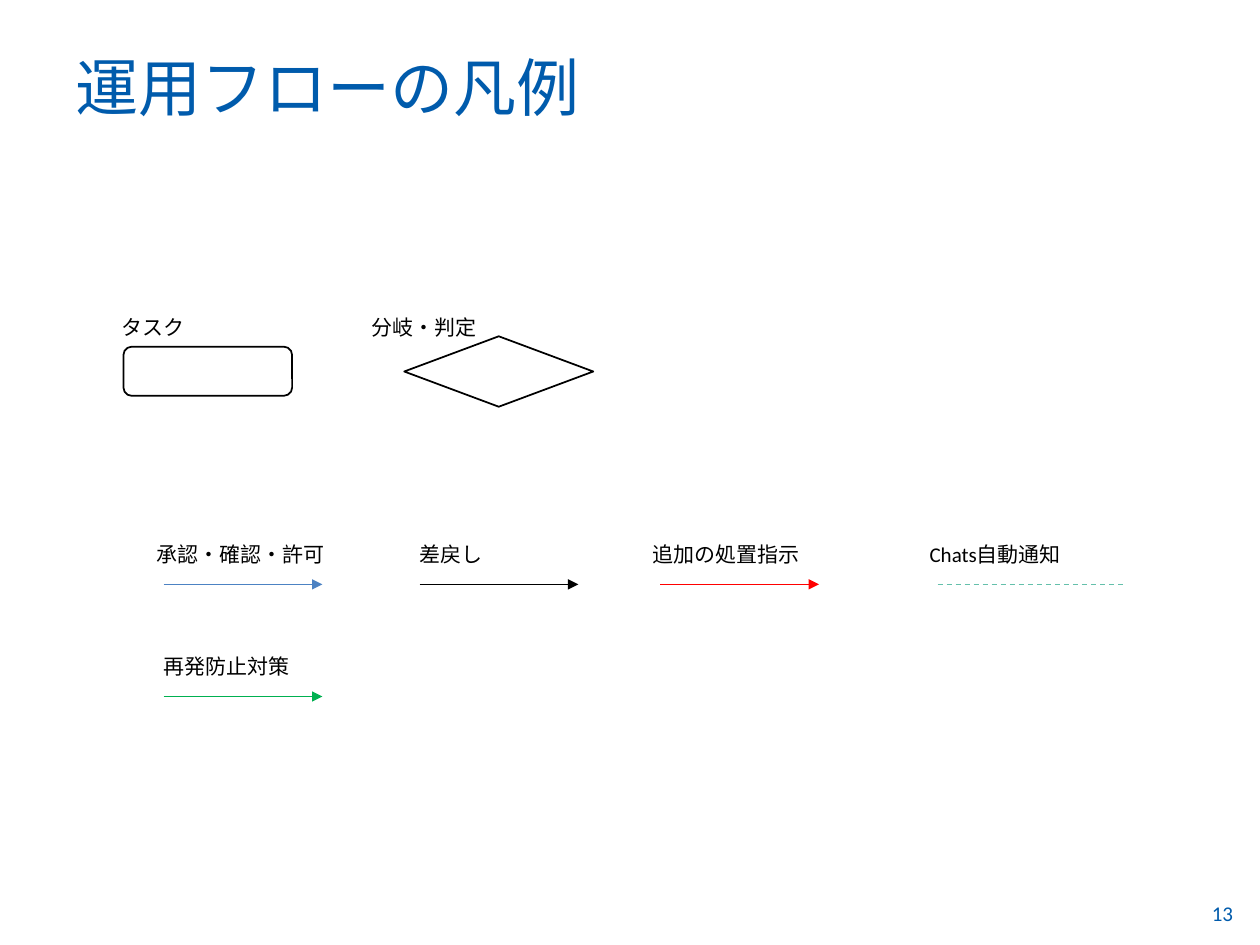
import pptx
import pptx.dml.color
import pptx.enum.dml
import pptx.enum.shapes
import pptx.enum.text
import pptx.oxml
import pptx.oxml.ns
import pptx.util

Cm = pptx.util.Cm
Pt = pptx.util.Pt
RGB = pptx.dml.color.RGBColor
SHAPE = pptx.enum.shapes.MSO_SHAPE
ANCHOR = pptx.enum.text.MSO_ANCHOR

BLACK = RGB(0x00, 0x00, 0x00)
WHITE = RGB(0xFF, 0xFF, 0xFF)
NAVY = RGB(0x00, 0x5B, 0xAC)
BLUE = RGB(0x4C, 0x82, 0xC3)
RED = RGB(0xFF, 0x00, 0x00)
TEAL = RGB(0x64, 0xC0, 0xAB)
GREEN = RGB(0x00, 0xB0, 0x50)


class Legend:
    font = "Calibri"

    def __init__(self, slide):
        self.slide = slide

    def text(self, words, left, top, width, height=0.76, size=12,
             color=BLACK, anchor=ANCHOR.TOP):
        box = self.slide.shapes.add_textbox(
            Cm(left), Cm(top), Cm(width), Cm(height))
        frame = box.text_frame
        frame.word_wrap = True
        frame.vertical_anchor = anchor
        run = frame.paragraphs[0].add_run()
        run.text = words
        run.font.name = self.font
        run.font.size = Pt(size)
        run.font.color.rgb = color

    def shape(self, kind, left, top, width, height):
        shape = self.slide.shapes.add_shape(
            kind, Cm(left), Cm(top), Cm(width), Cm(height))
        shape.shadow.inherit = False
        shape.fill.solid()
        shape.fill.fore_color.rgb = WHITE
        shape.line.color.rgb = BLACK
        shape.line.width = Pt(1)

    def line(self, left, top, length, color, dash=False):
        line = self.slide.shapes.add_connector(
            pptx.enum.shapes.MSO_CONNECTOR.STRAIGHT,
            Cm(left), Cm(top), Cm(left + length), Cm(top))
        line.line.color.rgb = color
        line.line.width = Pt(0.75)
        if dash:
            line.line.dash_style = pptx.enum.dml.MSO_LINE.DASH
        else:
            head = pptx.oxml.parse_xml(
                '<a:tailEnd %s type="triangle"/>' % pptx.oxml.ns.nsdecls("a"))
            line.line._get_or_add_ln().append(head)
        line._element.spPr.append(pptx.oxml.parse_xml(
            "<a:effectLst %s/>" % pptx.oxml.ns.nsdecls("a")))


def main():
    deck = pptx.Presentation()
    deck.slide_width = Cm(25.4)
    deck.slide_height = Cm(19.05)
    page = Legend(deck.slides.add_slide(deck.slide_layouts[6]))

    page.text("13", 24.18, 18.03, 1.22, 1.02, color=NAVY)
    page.text("運用フローの凡例", 1.27, 0.66, 22.86, 1.96, 36, NAVY, ANCHOR.BOTTOM)

    page.shape(SHAPE.ROUNDED_RECTANGLE, 2.49, 6.99, 3.4, 0.99)
    page.text("タスク", 2.21, 6.22, 2)
    page.shape(SHAPE.FLOWCHART_DECISION, 8.15, 6.78, 3.81, 1.42)
    page.text("分岐・判定", 7.24, 6.22, 2.95)

    upper, lower = 10.8, 13.06
    flows = [
        ("承認・確認・許可", 2.9, upper, 4.2, 3.3, 3.2, BLUE, False),
        ("差戻し", 8.2, upper, 2, 8.46, 3.2, BLACK, False),
        ("追加の処置指示", 12.9, upper, 3.6, 13.31, 3.2, RED, False),
        ("Chats自動通知", 18.49, upper, 3.6, 18.9, 3.81, TEAL, True),
        ("再発防止対策", 3.05, lower, 3.2, 3.3, 3.2, GREEN, False),
    ]
    for words, left, top, width, start, length, color, dash in flows:
        page.line(start, top + 0.98, length, color, dash)
        page.text(words, left, top, width)

    deck.save("out.pptx")


if __name__ == "__main__":
    main()
